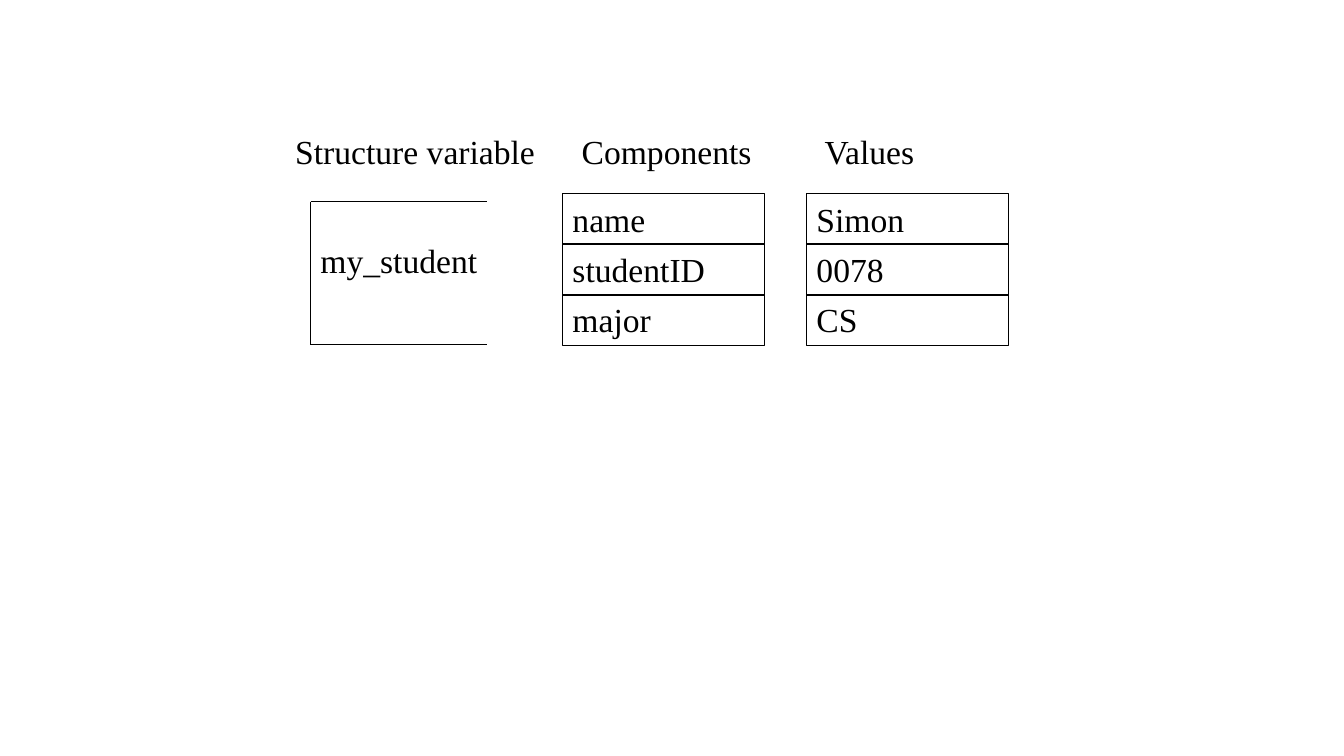
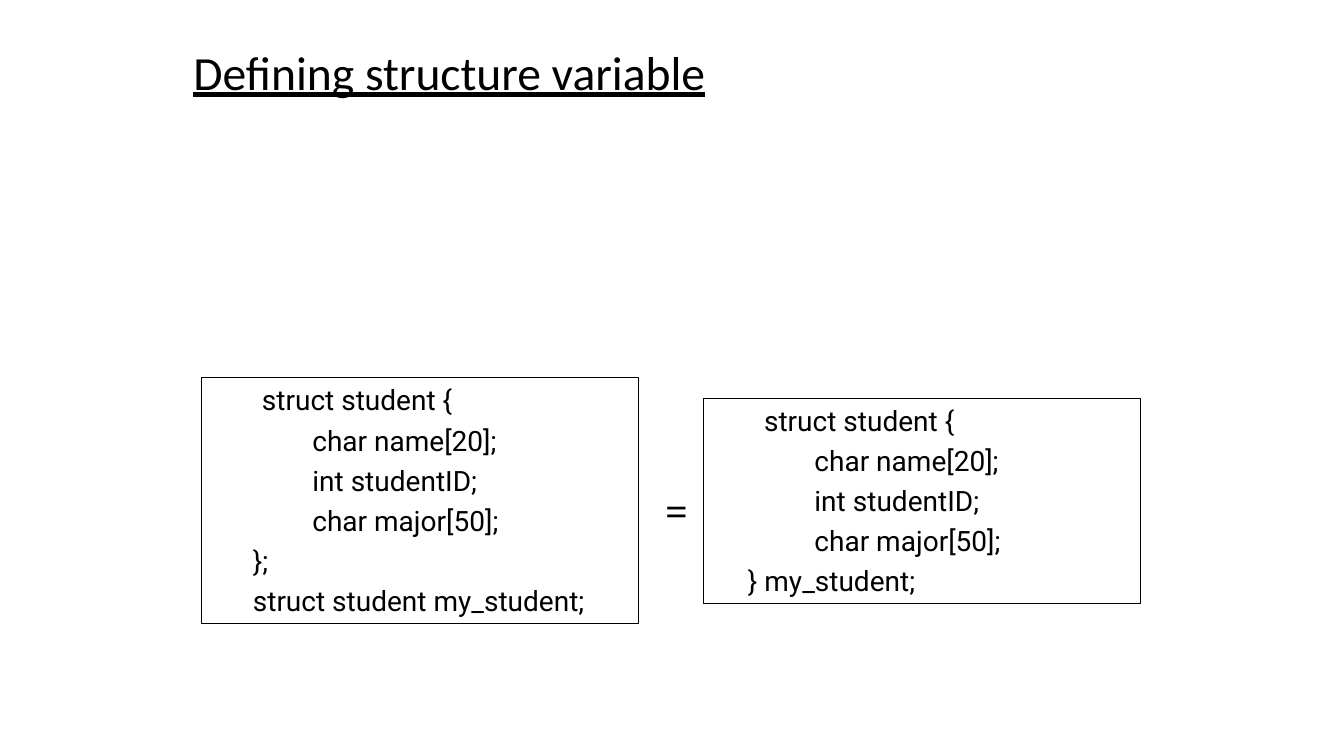
from pptx import Presentation
from pptx.dml.color import RGBColor
from pptx.enum.shapes import MSO_CONNECTOR, MSO_SHAPE
from pptx.enum.text import MSO_ANCHOR, PP_ALIGN
from pptx.oxml.ns import qn
from pptx.util import Inches, Pt
from lxml import etree

RECTANGLE = MSO_SHAPE.RECTANGLE
STRAIGHT = MSO_CONNECTOR.STRAIGHT
TOP, MIDDLE = MSO_ANCHOR.TOP, MSO_ANCHOR.MIDDLE
LEFT = PP_ALIGN.LEFT

COLORS = {"ink": "000000", "paper": "FFFFFF"}
SERIF, SANS, CODE = "Times New Roman", "Calibri", "Roboto"
LINE_WIDTH = Pt(0.75)


def color(name):
    return RGBColor.from_string(COLORS[name])


def write(frame, text, font=SERIF, size=24, bold=False, underline=False,
          anchor=TOP, wrap=True, gap=0, spacing=None, indents=()):
    """Fill a text frame, one paragraph per line; indents are inches per line."""
    frame.word_wrap = wrap
    frame.vertical_anchor = anchor
    for number, line in enumerate(text.split("\n")):
        paragraph = frame.add_paragraph() if number else frame.paragraphs[0]
        paragraph.alignment = LEFT
        if number:
            paragraph.space_before = Pt(gap)
        if spacing:
            paragraph.line_spacing = spacing
        if indents:
            properties = paragraph._p.get_or_add_pPr()
            properties.set("marL", str(Inches(indents[number])))
            properties.set("indent", "0")
        run = paragraph.add_run()
        run.text = line
        run.font.name = font
        run.font.size = Pt(size)
        run.font.bold = bold
        run.font.underline = underline
        run.font.color.rgb = color("ink")


class Deck:
    """Holds the shared style and the slide being drawn."""

    def __init__(self):
        self.presentation = Presentation()
        self.presentation.slide_width = Inches(13.33)
        self.presentation.slide_height = Inches(7.5)
        self.slide = None

    def new_slide(self):
        blank = self.presentation.slide_layouts[6]
        self.slide = self.presentation.slides.add_slide(blank)
        fill = self.slide.background.fill
        fill.solid()
        fill.fore_color.rgb = color("paper")

    def label(self, text, left, top, width, height=0.5, **style):
        box = self.slide.shapes.add_textbox(
            Inches(left), Inches(top), Inches(width), Inches(height))
        write(box.text_frame, text, **style)

    def title(self, text):
        self.label(text, 1.82, 0.33, 9.22, 0.82, font=SANS, size=34,
                   underline=True, anchor=MIDDLE, spacing=0.9)

    def frame(self, text, left, top, width, height, **style):
        """Outlined, unfilled rectangle with text."""
        shape = self.slide.shapes.add_shape(
            RECTANGLE, Inches(left), Inches(top), Inches(width), Inches(height))
        shape.shadow.inherit = False
        shape.fill.background()
        shape.line.color.rgb = color("ink")
        shape.line.width = LINE_WIDTH
        write(shape.text_frame, text, **style)

    def code(self, lines, left, top, height):
        """Framed listing from (indent, text) pairs."""
        indents, texts = zip(*lines)
        self.frame("\n".join(texts), left, top, 4.33, height, font=CODE,
                   size=20, gap=4.7, indents=indents)

    def line(self, start, end):
        connector = self.slide.shapes.add_connector(
            STRAIGHT, *(Inches(value) for value in (*start, *end)))
        connector.line.color.rgb = color("ink")
        connector.line.width = LINE_WIDTH
        etree.SubElement(connector._element.spPr, qn("a:effectLst"))


def structure_slide(deck):
    deck.new_slide()
    for heading, left, width in (("Structure variable", 2.83, 2.67),
                                 ("Components", 5.67, 1.92),
                                 ("Values", 8.08, 1.25)):
        deck.label(heading, left, 1.25, width)

    columns = ((5.58, ("name", "studentID", "major")),
               (8, ("Simon", "0078", "CS")))
    for left, entries in columns:
        for row, entry in enumerate(entries):
            deck.frame(entry, left, 1.92 + 0.5 * row, 2, 0.51)

    left, right, top, bottom = 3.08, 4.83, 2, 3.42
    for y in (top, bottom):
        deck.line((left, y), (right, y))
    deck.line((left, top), (left, bottom))
    deck.label("my_student", left, 2.33, 2)


def definition_slide(deck):
    deck.new_slide()
    deck.title("Defining structure variable")
    members = [(0.5, "struct student {"),
               (1, "char name[20];"),
               (1, "int studentID;"),
               (1, "char major[50];")]
    deck.code(members + [(0.41, "};"), (0.41, "struct student my_student;")],
              2, 3.75, 2.44)
    deck.code(members + [(0.34, "} my_student;")], 6.98, 3.95, 2.04)
    deck.label("=", 6.5, 4.78, 0.42, 0.57, size=28, bold=True, wrap=False)


def main():
    deck = Deck()
    structure_slide(deck)
    definition_slide(deck)
    deck.presentation.save("out.pptx")


if __name__ == "__main__":
    main()
